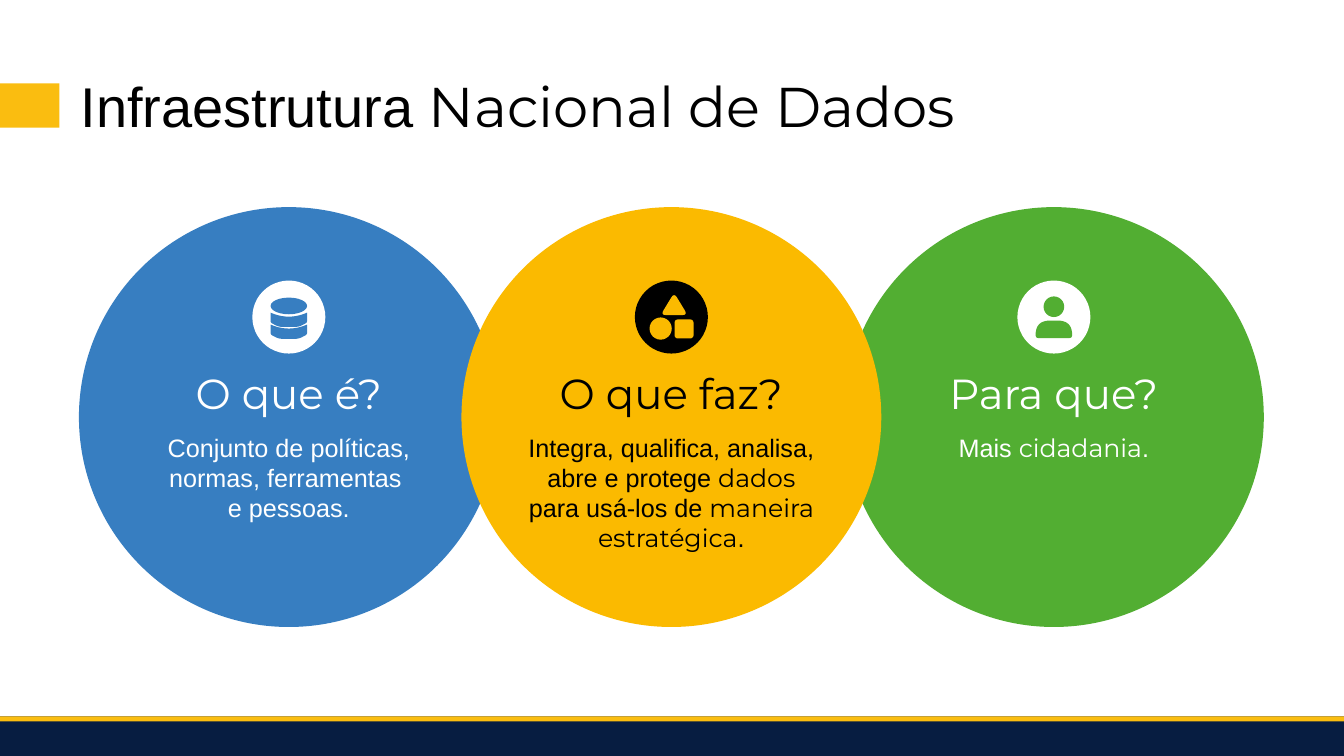
from math import dist
from pptx import Presentation
from pptx.dml.color import RGBColor
from pptx.enum.shapes import MSO_SHAPE as Kind
from pptx.enum.text import MSO_ANCHOR as Anchor, MSO_AUTO_SIZE as Fit, PP_ALIGN as Align
from pptx.util import Cm, Pt

hue = RGBColor.from_string
SANS, MONT = "Arial", "Montserrat"
WHITE, BLACK, NAVY = "FFFFFF", "000000", "071D41"
BLUE, GOLD, GREEN, AMBER = "377EC1", "FBBA00", "52AE32", "FABD10"


def paint(shape, color):
    shape.shadow.inherit = False
    shape.fill.solid()
    shape.fill.fore_color.rgb = hue(color)
    shape.line.fill.background()


def write(par, runs, size, color):
    for text, face in runs:
        if text == "\n":
            par.add_line_break()
            continue
        run = par.add_run()
        run.text = text
        run.font.name = face
        run.font.size = Pt(size)
        run.font.color.rgb = hue(color)


deck = Presentation()
deck.slide_width, deck.slide_height = Cm(33.87), Cm(19.05)
slide = deck.slides.add_slide(deck.slide_layouts[5])
shapes = slide.shapes

bars = [
    (0, 2.1, 1.5, 1.12, AMBER),
    (0, 18.05, 33.87, 1, NAVY),
    (0, 18.05, 33.87, 0.13, AMBER),
]
for x, y, w, h, color in bars:
    bar = shapes.add_shape(Kind.RECTANGLE, Cm(x), Cm(y), Cm(w), Cm(h))
    paint(bar, color)

title = shapes.title
title.left, title.top, title.width, title.height = Cm(2.03), Cm(2), Cm(29.85), Cm(1.98)
frame = title.text_frame
frame.margin_left = frame.margin_top = frame.margin_right = frame.margin_bottom = 0
frame.auto_size = Fit.NONE
frame.word_wrap = True
frame.vertical_anchor = Anchor.TOP
par = frame.paragraphs[0]
par.alignment = Align.LEFT
par.line_spacing = 0.9
write(par, [("Infraestrutura ", SANS), ("Nacional de Dados", MONT)], 40, BLACK)

MID, STEP, SIDE, DISC = 7.28, 9.64, 10.58, 1.84
ROW, EYE = 10.51, 7.99
topics = [
    (2, GREEN, WHITE, "Para que?", [("Mais ", SANS), ("cidadania", MONT), (".", SANS)]),
    (0, BLUE, WHITE, "O que é?", [
        ("Conjunto de políticas, normas, ferramentas ", SANS), ("\n", SANS),
        ("e pessoas.", SANS)]),
    (1, GOLD, BLACK, "O que faz?", [
        ("Integra, qualifica, analisa, abre e protege ", SANS), ("dados", MONT),
        (" para usá-los de ", SANS), ("maneira estratégica", MONT), (".", SANS)]),
]
for col, color, ink, head, body in topics:
    x = MID + col * STEP
    ball = shapes.add_shape(
        Kind.OVAL, Cm(x - SIDE / 2), Cm(ROW - SIDE / 2), Cm(SIDE), Cm(SIDE))
    paint(ball, color)
    frame = ball.text_frame
    frame.margin_left = frame.margin_right = frame.margin_bottom = 0
    frame.margin_top = Cm(2.49)
    frame.word_wrap = True
    frame.vertical_anchor = Anchor.TOP
    pars = [frame.paragraphs[0], frame.add_paragraph()]
    for par, runs, size in zip(pars, ([(head, MONT)], body), (30, 18)):
        par.alignment = Align.CENTER
        par.space_after = Pt(10)
        write(par, runs, size, ink)

for col, color, ink, *rest in topics:
    x = MID + col * STEP
    disc = shapes.add_shape(
        Kind.OVAL, Cm(x - DISC / 2), Cm(EYE - DISC / 2), Cm(DISC), Cm(DISC))
    paint(disc, ink)

parts = [
    (0, Kind.OVAL, -0.46, -0.49, 0.92, 0.42, BLUE),
    (1, Kind.OVAL, -0.55, 0.01, 0.56, 0.56, GOLD),
    (1, Kind.ROUNDED_RECTANGLE, 0.08, 0.06, 0.48, 0.48, GOLD),
    (2, Kind.OVAL, -0.26, -0.52, 0.52, 0.52, GREEN),
]
for col, kind, x, y, w, h, color in parts:
    part = shapes.add_shape(
        kind, Cm(MID + col * STEP + x), Cm(EYE + y), Cm(w), Cm(h))
    paint(part, color)

band = [
    (-0.46, -0.11, 0), (0, 0.09, 0.5), (0.46, -0.11, 0), (0.46, 0.14, 0.05),
    (0.25, 0.25, 0.1), (-0.25, 0.25, 0.1), (-0.46, 0.14, 0.05),
]
blobs = [
    (0, BLUE, band),
    (0, BLUE, [(x, y + 0.3, cut) for x, y, cut in band]),
    (1, GOLD, [(0.07, -0.61, 0.14), (0.41, -0.05, 0.14), (-0.27, -0.05, 0.14)]),
    (2, GREEN, [(-0.46, 0.09, 0.36), (0.46, 0.09, 0.36),
                (0.46, 0.53, 0.08), (-0.46, 0.53, 0.08)]),
]
for col, color, nodes in blobs:
    dots = []
    for i, (x, y, cut) in enumerate(nodes):
        ends = []
        for u, v, _ in (nodes[i - 1], nodes[(i + 1) % len(nodes)]):
            part = min(1, cut / dist((x, y), (u, v)))
            ends.append((x + part * (u - x), y + part * (v - y)))
        (ax, ay), (bx, by) = ends
        for t in [k / 10 for k in range(11)]:
            a, m, b = (1 - t) ** 2, 2 * t * (1 - t), t ** 2
            dots.append((Cm(MID + col * STEP + a * ax + m * x + b * bx),
                         Cm(EYE + a * ay + m * y + b * by)))
    path = shapes.build_freeform(*dots[0])
    path.add_line_segments(dots[1:])
    paint(path.convert_to_shape(), color)

deck.save("out.pptx")
